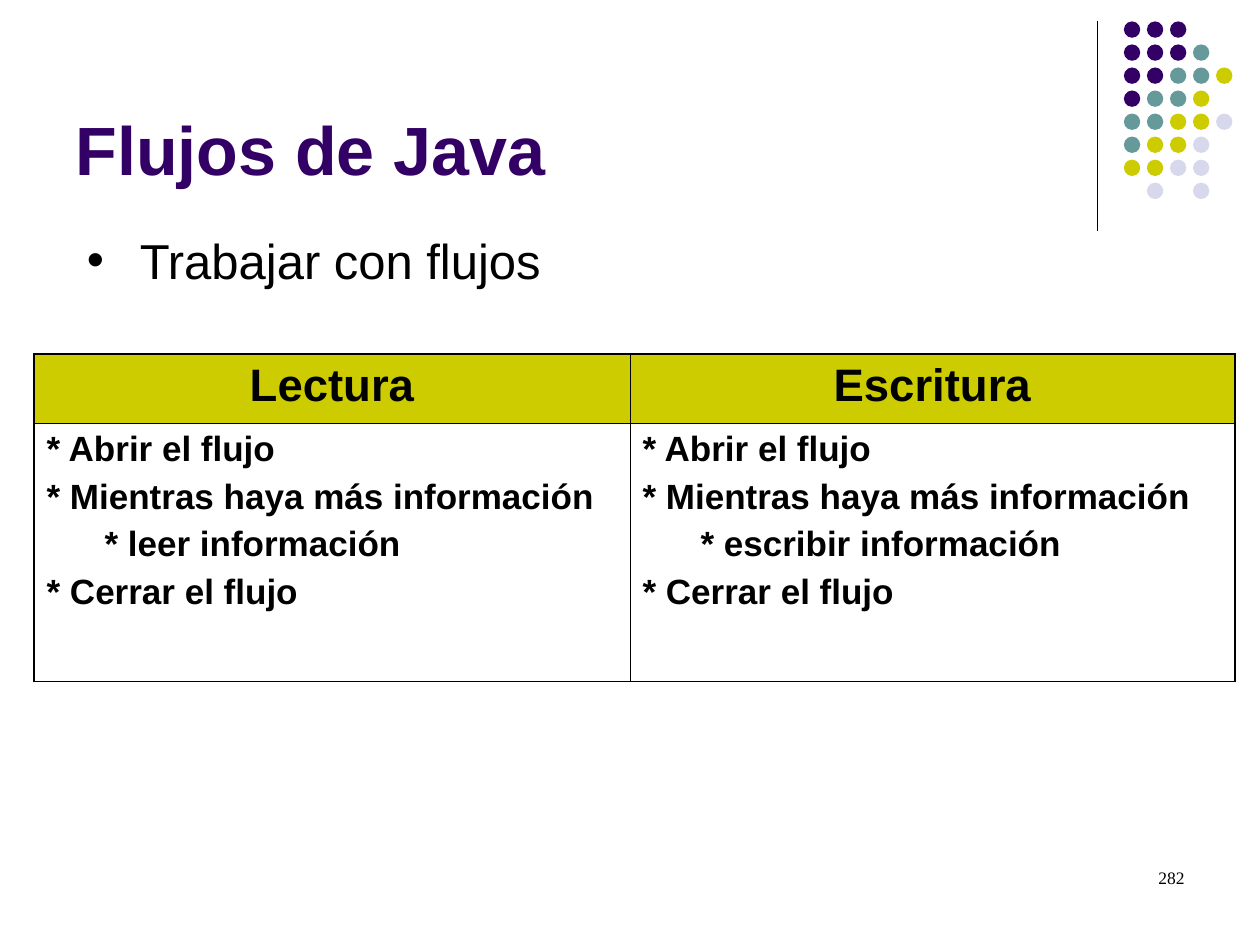
import lxml.etree
import pptx
import pptx.dml.color
import pptx.enum.shapes
import pptx.enum.text
import pptx.oxml.ns
import pptx.util
from pptx.util import Inches

COLOURS = {
    "purple": "330066",
    "teal": "669999",
    "olive": "CCCC00",
    "lilac": "D8D8EC",
    "black": "000000",
}
ALIGN = pptx.enum.text.PP_ALIGN
qn = pptx.oxml.ns.qn


def write(paragraph, text, size, colour="black", font="Arial", bold=False,
          align=ALIGN.LEFT, before=0):
    paragraph.alignment = align
    paragraph.space_before = pptx.util.Pt(before)
    run = paragraph.add_run()
    run.text = text
    run.font.size = pptx.util.Pt(size)
    run.font.name = font
    run.font.bold = bold
    run.font.color.rgb = pptx.dml.color.RGBColor.from_string(COLOURS[colour])


def add_border(cell, side, points):
    """Draw one side (L, R, T or B) of a cell; call before setting its fill."""
    line = lxml.etree.SubElement(cell._tc.get_or_add_tcPr(), qn(f"a:ln{side}"),
                                 w=str(pptx.util.Pt(points)))
    fill = lxml.etree.SubElement(line, qn("a:solidFill"))
    lxml.etree.SubElement(fill, qn("a:srgbClr"), val=COLOURS["black"])


deck = pptx.Presentation()
deck.slide_width, deck.slide_height = Inches(10), Inches(7.5)
slide = deck.slides.add_slide(deck.slide_layouts[1])
shapes = slide.shapes

# Corner decoration: a rule and a grid of dots
rule = shapes.add_connector(pptx.enum.shapes.MSO_CONNECTOR.STRAIGHT,
                            Inches(8.71), Inches(0.17), Inches(8.71), Inches(1.83))
rule.line.width = pptx.util.Pt(0.75)
rule.line.color.rgb = pptx.dml.color.RGBColor.from_string(COLOURS["black"])
lxml.etree.SubElement(rule._element.spPr, qn("a:effectLst"))

dot_colours = {"p": "purple", "t": "teal", "o": "olive", "l": "lilac"}
dot_rows = ["ppp", "pppt", "pptto", "ptto", "ttool", "tool", "ooll", " l l"]
pitch = 1.28 / 7
for row, letters in enumerate(dot_rows):
    for column, letter in enumerate(letters):
        if letter == " ":
            continue
        dot = shapes.add_shape(pptx.enum.shapes.MSO_SHAPE.OVAL,
                               Inches(8.92 + column * pitch), Inches(0.17 + row * pitch),
                               Inches(0.13), Inches(0.13))
        dot.shadow.inherit = False
        dot.fill.solid()
        dot.fill.fore_color.rgb = pptx.dml.color.RGBColor.from_string(
            COLOURS[dot_colours[letter]])
        dot.line.fill.background()

# Title
title = shapes.title
title.left, title.top = Inches(0.5), Inches(0.13)
title.width, title.height = Inches(8.25), Inches(1.42)
title.text_frame.vertical_anchor = pptx.enum.text.MSO_ANCHOR.BOTTOM
title.text_frame.auto_size = pptx.enum.text.MSO_AUTO_SIZE.NONE
write(title.text_frame.paragraphs[0], "Flujos de Java", 39, colour="purple", bold=True)

# Bulleted topic
topic = slide.placeholders[1]
topic.left, topic.top = Inches(0.59), Inches(1.78)
topic.width, topic.height = Inches(8.27), Inches(0.57)
topic.text_frame.auto_size = pptx.enum.text.MSO_AUTO_SIZE.NONE
topic_line = topic.text_frame.paragraphs[0]
topic_format = topic_line._p.get_or_add_pPr()
topic_format.set("marL", str(Inches(0.42)))
topic_format.set("indent", str(Inches(-0.42)))
lxml.etree.SubElement(topic_format, qn("a:buSzPts"), val="2400")
lxml.etree.SubElement(topic_format, qn("a:buFont"), typeface="Arial")
lxml.etree.SubElement(topic_format, qn("a:buChar"), char="•")
write(topic_line, "Trabajar con flujos", 28)

# Reading and writing steps, as (text, left margin)
steps = {
    "Lectura": "* leer información",
    "Escritura": "* escribir información",
}
table = shapes.add_table(2, 2, Inches(0.27), Inches(2.81), Inches(9.53), Inches(2.6)).table
table.first_row = table.horz_banding = False
table.columns[0].width, table.columns[1].width = Inches(4.73), Inches(4.8)
table.rows[0].height, table.rows[1].height = Inches(0.55), Inches(2.05)
outer, inner = 1.08, 0.45

for column, (heading, inner_step) in enumerate(steps.items()):
    for row in range(2):
        cell = table.cell(row, column)
        add_border(cell, "L", inner if column else outer)
        add_border(cell, "R", outer if column else inner)
        add_border(cell, "T", inner if row else outer)
        add_border(cell, "B", outer if row else inner)

    header = table.cell(0, column)
    header.fill.solid()
    header.fill.fore_color.rgb = pptx.dml.color.RGBColor.from_string(COLOURS["olive"])
    write(header.text_frame.paragraphs[0], heading, 26, bold=True, align=ALIGN.CENTER)

    body = table.cell(1, column)
    body.fill.background()
    lines = [("* Abrir el flujo", 0), ("* Mientras haya más información", 0),
             (inner_step, 0.46), ("* Cerrar el flujo", 0)]
    for number, (text, margin) in enumerate(lines):
        frame = body.text_frame
        paragraph = frame.add_paragraph() if number else frame.paragraphs[0]
        paragraph._p.get_or_add_pPr().set("marL", str(Inches(margin)))
        write(paragraph, text, 20, bold=True, before=5 if number else 0)

# Page number
page_number = shapes.add_textbox(Inches(7.17), Inches(6.83), Inches(2.33), Inches(0.5))
page_number.text_frame.word_wrap = True
write(page_number.text_frame.paragraphs[0], "282", 10, font="Times New Roman",
      align=ALIGN.RIGHT)

deck.save("out.pptx")
